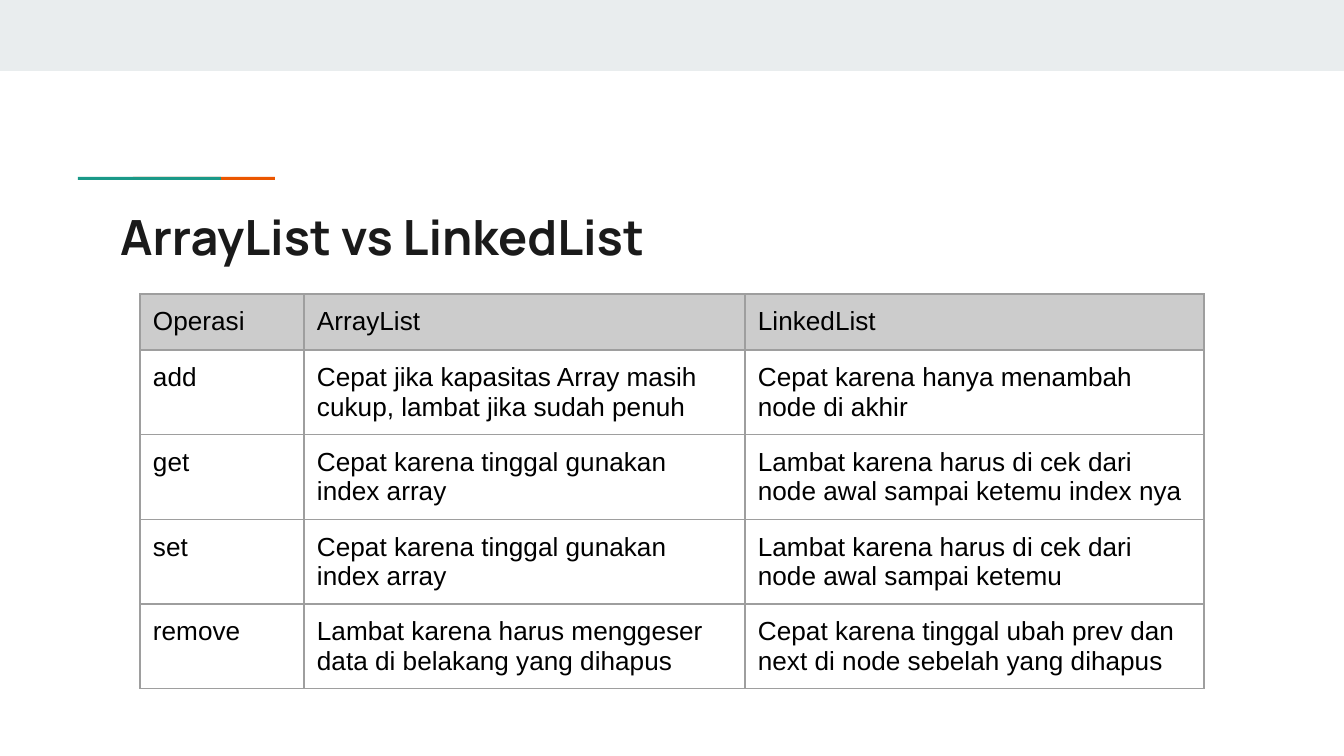
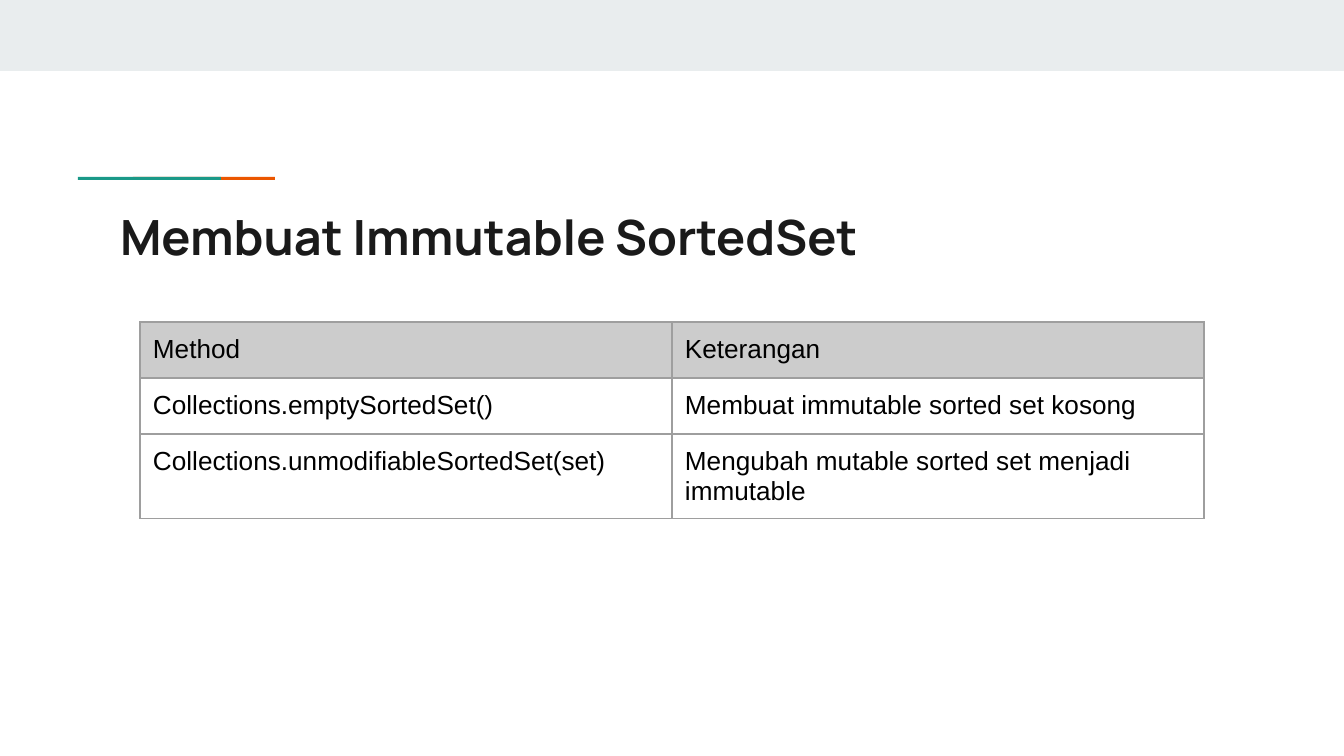
"""Build two slides that compare Java collections in tables."""
from dataclasses import dataclass

from lxml.etree import SubElement
from pptx import Presentation
from pptx.dml.color import RGBColor
from pptx.enum.shapes import MSO_SHAPE
from pptx.enum.text import MSO_ANCHOR, MSO_AUTO_SIZE, PP_ALIGN
from pptx.oxml.ns import qn
from pptx.presentation import Presentation as Deck
from pptx.slide import Slide
from pptx.table import _Cell as Cell
from pptx.text.text import TextFrame
from pptx.util import Emu, Pt

SCALE = 9144000 / 1344
WIDE, HIGH = 1344, 756
INSET = 13
ROW = 56
LEFT = 140

BLACK = RGBColor(0x00, 0x00, 0x00)
INK = RGBColor(0x1A, 0x1A, 0x1A)
MIST = RGBColor(0xE9, 0xED, 0xEE)
TEAL = RGBColor(0x1A, 0x99, 0x88)
ORANGE = RGBColor(0xEB, 0x56, 0x00)
HEAD = RGBColor(0xCC, 0xCC, 0xCC)
BORDER = RGBColor(0x9E, 0x9E, 0x9E)


@dataclass(frozen=True)
class Bar:
    left: int
    top: int
    width: int
    height: int
    color: RGBColor


@dataclass(frozen=True)
class Page:
    title: str
    top: int
    cols: tuple[int, ...]
    rows: tuple[tuple[str, ...], ...]


BARS = (
    Bar(0, 0, WIDE, 71, MIST),
    Bar(133, 177, 142, 3, ORANGE),
    Bar(78, 177, 143, 3, TEAL),
)

PAGES = (
    Page("ArrayList vs LinkedList", 294, (164, 441, 459), (
        ("Operasi", "ArrayList", "LinkedList"),
        ("add",
         "Cepat jika kapasitas Array masih cukup, lambat jika sudah penuh",
         "Cepat karena hanya menambah node di akhir"),
        ("get",
         "Cepat karena tinggal gunakan index array",
         "Lambat karena harus di cek dari node awal sampai ketemu index nya"),
        ("set",
         "Cepat karena tinggal gunakan index array",
         "Lambat karena harus di cek dari node awal sampai ketemu"),
        ("remove",
         "Lambat karena harus menggeser data di belakang yang dihapus",
         "Cepat karena tinggal ubah prev dan next di node sebelah yang dihapus"),
    )),
    Page("Membuat Immutable SortedSet", 322, (532, 532), (
        ("Method", "Keterangan"),
        ("Collections.emptySortedSet()", "Membuat immutable sorted set kosong"),
        ("Collections.unmodifiableSortedSet(set)",
         "Mengubah mutable sorted set menjadi immutable"),
    )),
)


def px(size: int) -> Emu:
    return Emu(round(size * SCALE))


def write(frame: TextFrame, text: str, *, font: str = "Arial", size: int = 14,
          color: RGBColor = BLACK, bold: bool = False) -> None:
    para = frame.paragraphs[0]
    para.alignment = PP_ALIGN.LEFT
    run = para.add_run()
    run.text = text
    run.font.name = font
    run.font.size = Pt(size)
    run.font.color.rgb = color
    run.font.bold = bold


def pad(box: TextFrame | Cell) -> None:
    box.margin_left = box.margin_right = px(INSET)
    box.margin_top = box.margin_bottom = px(INSET)
    box.vertical_anchor = MSO_ANCHOR.TOP


def draw_bar(slide: Slide, bar: Bar) -> None:
    shape = slide.shapes.add_shape(
        MSO_SHAPE.RECTANGLE, px(bar.left), px(bar.top), px(bar.width), px(bar.height))
    shape.shadow.inherit = False
    shape.fill.solid()
    shape.fill.fore_color.rgb = bar.color
    shape.line.fill.background()


def draw_title(slide: Slide, text: str) -> None:
    title = slide.shapes.title
    title.left, title.top = px(107), px(194)
    title.width, title.height = px(1130), px(79)
    frame = title.text_frame
    frame.word_wrap = True
    frame.auto_size = MSO_AUTO_SIZE.NONE
    pad(frame)
    write(frame, text, font="Manrope", size=26, color=INK, bold=True)


def edge(cell: Cell) -> None:
    props = cell._tc.get_or_add_tcPr()
    for spot, side in enumerate(("lnL", "lnR", "lnT", "lnB")):
        line = SubElement(props, qn(f"a:{side}"), w=str(Pt(0.75)))
        fill = SubElement(line, qn("a:solidFill"))
        SubElement(fill, qn("a:srgbClr"), val=str(BORDER))
        props.insert(spot, line)


def draw_table(slide: Slide, page: Page) -> None:
    table = slide.shapes.add_table(
        len(page.rows), len(page.cols), px(LEFT), px(page.top),
        px(sum(page.cols)), px(ROW * len(page.rows))).table
    table.first_row = table.horz_banding = False
    for col, width in zip(table.columns, page.cols):
        col.width = px(width)
    for index, texts in enumerate(page.rows):
        table.rows[index].height = px(ROW)
        for cell, text in zip(table.rows[index].cells, texts):
            pad(cell)
            write(cell.text_frame, text)
            if index == 0:
                cell.fill.solid()
                cell.fill.fore_color.rgb = HEAD
            else:
                cell.fill.background()
            edge(cell)


def draw_page(deck: Deck, page: Page) -> None:
    slide = deck.slides.add_slide(deck.slide_layouts.get_by_name("Title Only"))
    for bar in BARS:
        draw_bar(slide, bar)
    draw_title(slide, page.title)
    draw_table(slide, page)


def main() -> None:
    deck = Presentation()
    deck.slide_width, deck.slide_height = px(WIDE), px(HIGH)
    for page in PAGES:
        draw_page(deck, page)
    deck.save("out.pptx")


if __name__ == "__main__":
    main()
